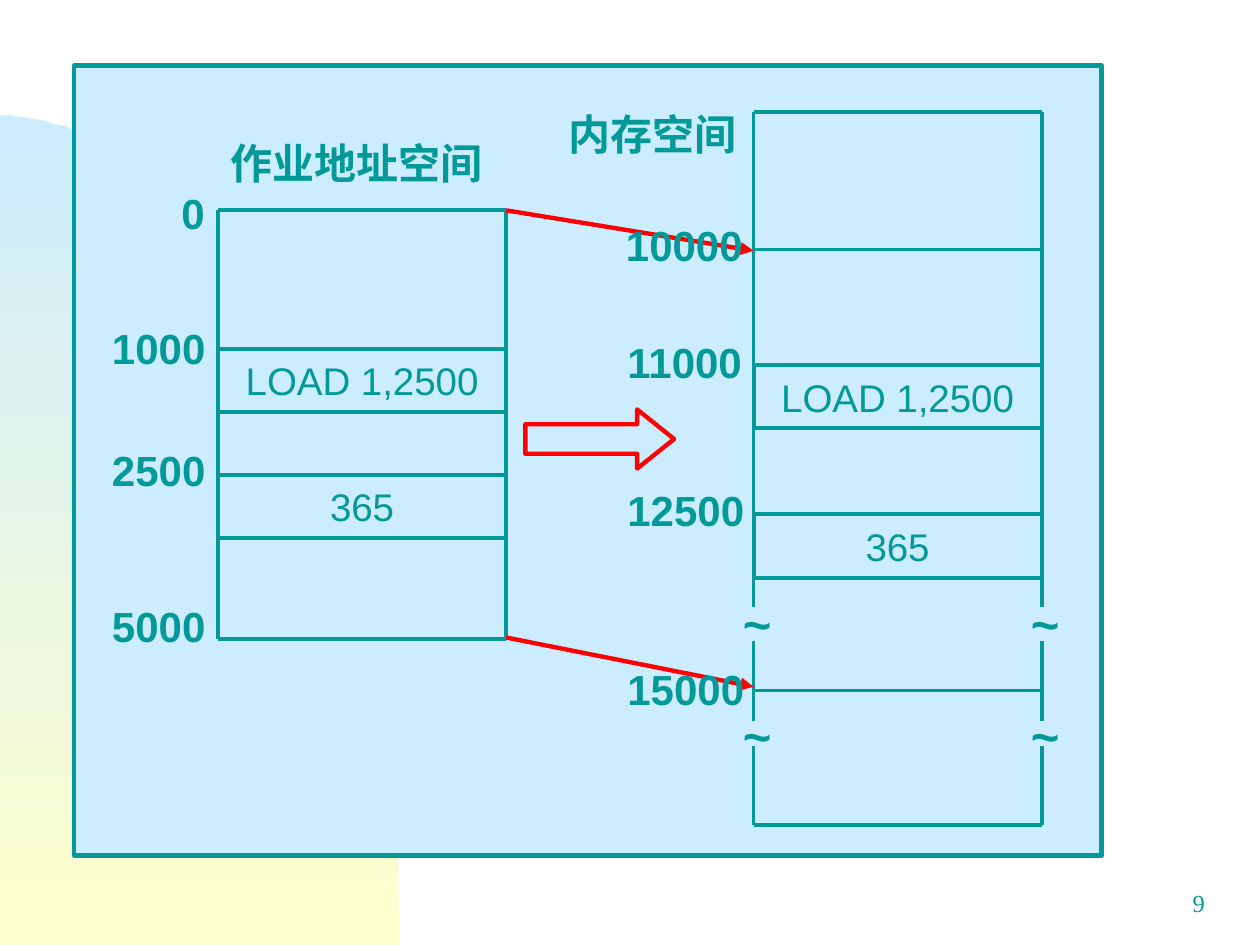
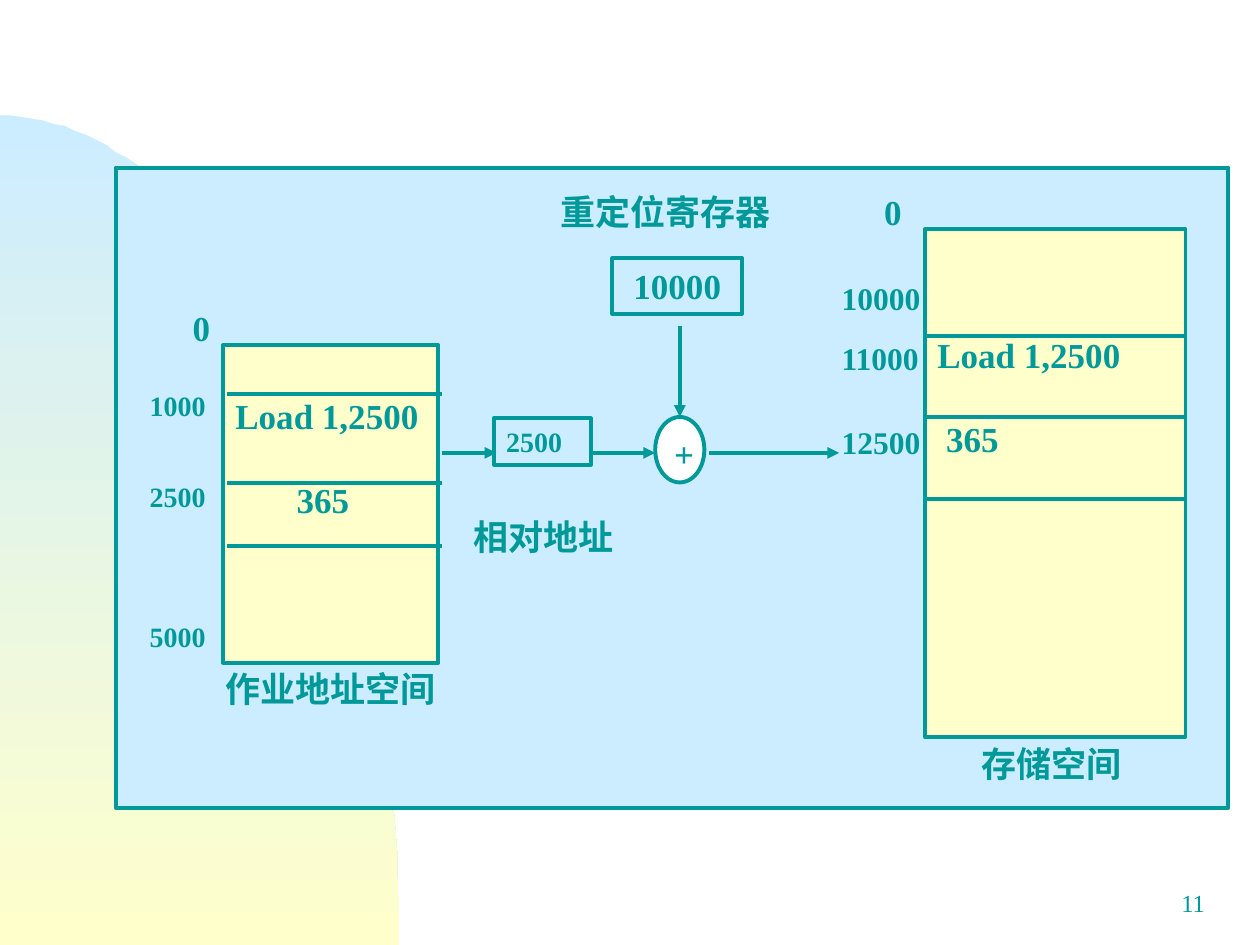
from lxml import etree
from pptx import Presentation
from pptx.dml.color import RGBColor
from pptx.enum import shapes, text
from pptx.oxml.ns import qn
from pptx.util import Pt

TEAL = RGBColor(0x00, 0x99, 0x99)
SKY = RGBColor(0xCC, 0xEC, 0xFF)
CREAM = RGBColor(0xFF, 0xFF, 0xCC)
WHITE = RGBColor(0xFF, 0xFF, 0xFF)
RED = RGBColor(0xFF, 0x00, 0x00)
SANS, SERIF = "Arial", "Times New Roman"
RULE = 2.25
HEAVY = 2.5
SLIDE_W, SLIDE_H = 720, 540
DOME_TOP, DOME_W = 66.2, 228.2
DOME_CURVE = [(0, DOME_TOP), (126, DOME_TOP), (DOME_W, 278.6), (DOME_W, SLIDE_H)]

STATIC = {
    "page": "9",
    "panel": (42.5, 37.5, 587, 451.5),
    "spaces": [
        {
            "left": 124.6,
            "levels": [120.2, 199.4, 235.4, 271.4, 307.4, 365],
            "rails": [(120.2, 365)],
            "cells": {1: "LOAD 1,2500", 3: "365"},
        },
        {
            "left": 430.6,
            "levels": [64.1, 142.6, 208.8, 244.8, 293.8, 330.5, 394.6, 471.6],
            "rails": [(64.1, 347), (366.5, 411.8), (426.5, 471.6)],
            "cells": {2: "LOAD 1,2500", 4: "365"},
        },
    ],
    "space_width": 164.6,
    "break_tops": [335.5, 399.6],
    "mappings": [(120.2, 143.3), (364.3, 392.4)],
    "load_arrow": (300.2, 234, 85, 33.8),
    "labels": [
        ("0", 96.5, 103.7, 40),
        ("1000", 56.9, 180.7, 70),
        ("2500", 56.9, 250.6, 73),
        ("5000", 56.9, 339.8, 70),
        ("10000", 350.6, 121.7, 85),
        ("11000", 351.4, 188.6, 85),
        ("12500", 351.4, 273.6, 85),
        ("15000", 351.4, 375.8, 85),
        ("作业地址空间", 124.6, 74.9, 170),
        ("内存空间", 317.5, 58.3, 115),
    ],
}

DYNAMIC = {
    "page": "11",
    "panel": (66.2, 95.8, 635.8, 365.8),
    "spaces": [
        {
            "box": (127.4, 197.3, 123.1, 181.4),
            "dividers": (129.6, 252.7, [225.4, 275.8, 311.8]),
            "contents": [("Load 1,2500", 127.4, 221.7), ("365", 162.4, 269.7)],
        },
        {
            "box": (528.5, 131, 149, 290.2),
            "dividers": (528.5, 677.2, [191.9, 238.3, 285.1]),
            "contents": [("Load 1,2500", 528.5, 186.9), ("365", 533.5, 234.9)],
        },
    ],
    "relative": ("2500", (282.2, 239, 55.4, 26.6)),
    "register": ("10000", (349.9, 147.6, 74.2, 31.7)),
    "adder": ("+", (374.4, 238.3, 28.1, 37.4)),
    "flow_y": 258.8,
    "flows": [(252.7, 283.7), (337.7, 374.4), (405.4, 479.5)],
    "register_flow": (388.45, 186.5),
    "labels": [
        ("0", 103, 171.4, 31, 20),
        ("1000", 78.5, 218.2, 50, 16),
        ("2500", 78.5, 270.7, 50, 16),
        ("5000", 78.5, 350.6, 50, 16),
        ("0", 498.2, 105.1, 31, 20),
        ("10000", 473.8, 156.2, 74, 18),
        ("11000", 473.8, 190.1, 74, 18),
        ("12500", 473.8, 238.3, 74, 18),
        ("作业地址空间", 121.7, 378, 148, 20),
        ("存储空间", 553.7, 420.5, 111, 20),
        ("重定位寄存器", 313.2, 105.1, 148, 20),
        ("相对地址", 263.5, 290.9, 99, 20),
    ],
}


def write(shape, words, font, size, bold=False, align=text.PP_ALIGN.LEFT,
          anchor=text.MSO_ANCHOR.TOP):
    frame = shape.text_frame
    frame.word_wrap = True
    frame.vertical_anchor = anchor
    frame.text = words
    line = frame.paragraphs[0]
    line.alignment = align
    line.font.name = font
    line.font.size = Pt(size)
    line.font.bold = bold
    line.font.color.rgb = TEAL


def label(slide, words, x, y, width, size, font, bold=True, align=text.PP_ALIGN.LEFT):
    box = slide.shapes.add_textbox(Pt(x), Pt(y), Pt(width), Pt(size * 1.2 + 7.2))
    write(box, words, font, size, bold, align)


def block(slide, bounds, fill=None, kind=shapes.MSO_SHAPE.RECTANGLE, color=TEAL, weight=RULE):
    shape = slide.shapes.add_shape(kind, *map(Pt, bounds))
    shape.shadow.inherit = False
    if fill is None:
        shape.fill.background()
    else:
        shape.fill.solid()
        shape.fill.fore_color.rgb = fill
    shape.line.color.rgb = color
    shape.line.width = Pt(weight)
    return shape


def rule(slide, x1, y1, x2, y2, color=TEAL, weight=RULE, arrow=False):
    line = slide.shapes.add_connector(shapes.MSO_CONNECTOR.STRAIGHT, *map(Pt, (x1, y1, x2, y2)))
    line.line.color.rgb = color
    line.line.width = Pt(weight)
    properties = line._element.spPr
    if arrow:
        etree.SubElement(properties.find(qn("a:ln")), qn("a:tailEnd"), type="triangle")
    etree.SubElement(properties, qn("a:effectLst"))
    return line


def curve_point(t):
    weights = ((1 - t) ** 3, 3 * t * (1 - t) ** 2, 3 * t * t * (1 - t), t ** 3)
    return tuple(sum(w * p[axis] for w, p in zip(weights, DOME_CURVE)) for axis in (0, 1))


def start_slide(deck, content, panel_weight):
    slide = deck.slides.add_slide(deck.slide_layouts[6])
    outline = slide.shapes.build_freeform(0, DOME_TOP, scale=Pt(1))
    outline.add_line_segments([curve_point(i / 60) for i in range(1, 61)] + [(0, SLIDE_H)])
    dome = outline.convert_to_shape()
    dome.shadow.inherit = False
    dome.line.fill.background()
    dome.fill.gradient()
    dome.fill.gradient_angle = 270
    for stop, color, position in zip(dome.fill.gradient_stops, (SKY, CREAM), (0, 1)):
        stop.color.rgb = color
        stop.position = position
    label(slide, content["page"], 545.8, 504, 149.8, 14, SERIF, False, text.PP_ALIGN.RIGHT)
    block(slide, content["panel"], SKY, weight=panel_weight)
    return slide


def build_static(deck):
    slide = start_slide(deck, STATIC, HEAVY)
    width = STATIC["space_width"]
    job, memory = STATIC["spaces"]
    for space in (job, memory):
        left, levels = space["left"], space["levels"]
        right = left + width
        for row, words in space["cells"].items():
            cell = block(slide, (left, levels[row], width, levels[row + 1] - levels[row]))
            write(cell, words, SANS, 22, align=text.PP_ALIGN.CENTER, anchor=text.MSO_ANCHOR.MIDDLE)
        for y in levels:
            rule(slide, left, y, right, y)
        for top, bottom in space["rails"]:
            for x in (left, right):
                rule(slide, x, top, x, bottom)
    for y in STATIC["break_tops"]:
        for x in (memory["left"], memory["left"] + width):
            label(slide, "~", x - 18, y, 40, 28, SANS, align=text.PP_ALIGN.CENTER)
    for job_y, memory_y in STATIC["mappings"]:
        rule(slide, job["left"] + width, job_y, memory["left"], memory_y, RED, HEAVY, True)
    arrow = block(slide, STATIC["load_arrow"], SKY, shapes.MSO_SHAPE.RIGHT_ARROW, RED, HEAVY)
    arrow.adjustments[0], arrow.adjustments[1] = 0.5, 0.625
    for words, x, y, label_width in STATIC["labels"]:
        label(slide, words, x, y, label_width, 24, SANS)


def build_dynamic(deck):
    slide = start_slide(deck, DYNAMIC, RULE)
    for space in DYNAMIC["spaces"]:
        block(slide, space["box"], CREAM)
        left, right, levels = space["dividers"]
        for y in levels:
            rule(slide, left, y, right, y)
        for words, x, y in space["contents"]:
            label(slide, words, x, y, 123, 20, SERIF)

    words, bounds = DYNAMIC["relative"]
    write(block(slide, bounds), words, SERIF, 16, True)
    words, bounds = DYNAMIC["register"]
    write(block(slide, bounds), words, SERIF, 20, True, text.PP_ALIGN.CENTER)
    words, bounds = DYNAMIC["adder"]
    adder = block(slide, bounds, WHITE, shapes.MSO_SHAPE.OVAL)
    write(adder, words, SERIF, 20, True, text.PP_ALIGN.CENTER, text.MSO_ANCHOR.MIDDLE)
    frame = adder.text_frame
    frame.margin_left, frame.margin_right = Pt(5), Pt(0)
    frame.margin_top, frame.margin_bottom = Pt(4), Pt(0)

    y = DYNAMIC["flow_y"]
    for start, end in DYNAMIC["flows"]:
        rule(slide, start, y, end, y, arrow=True)
    x, top = DYNAMIC["register_flow"]
    rule(slide, x, top, x, bounds[1], arrow=True).end_connect(adder, 0)
    for words, x, y, width, size in DYNAMIC["labels"]:
        label(slide, words, x, y, width, size, SERIF)


def main():
    deck = Presentation()
    deck.slide_width, deck.slide_height = Pt(SLIDE_W), Pt(SLIDE_H)
    build_static(deck)
    build_dynamic(deck)
    deck.save("out.pptx")


if __name__ == "__main__":
    main()
